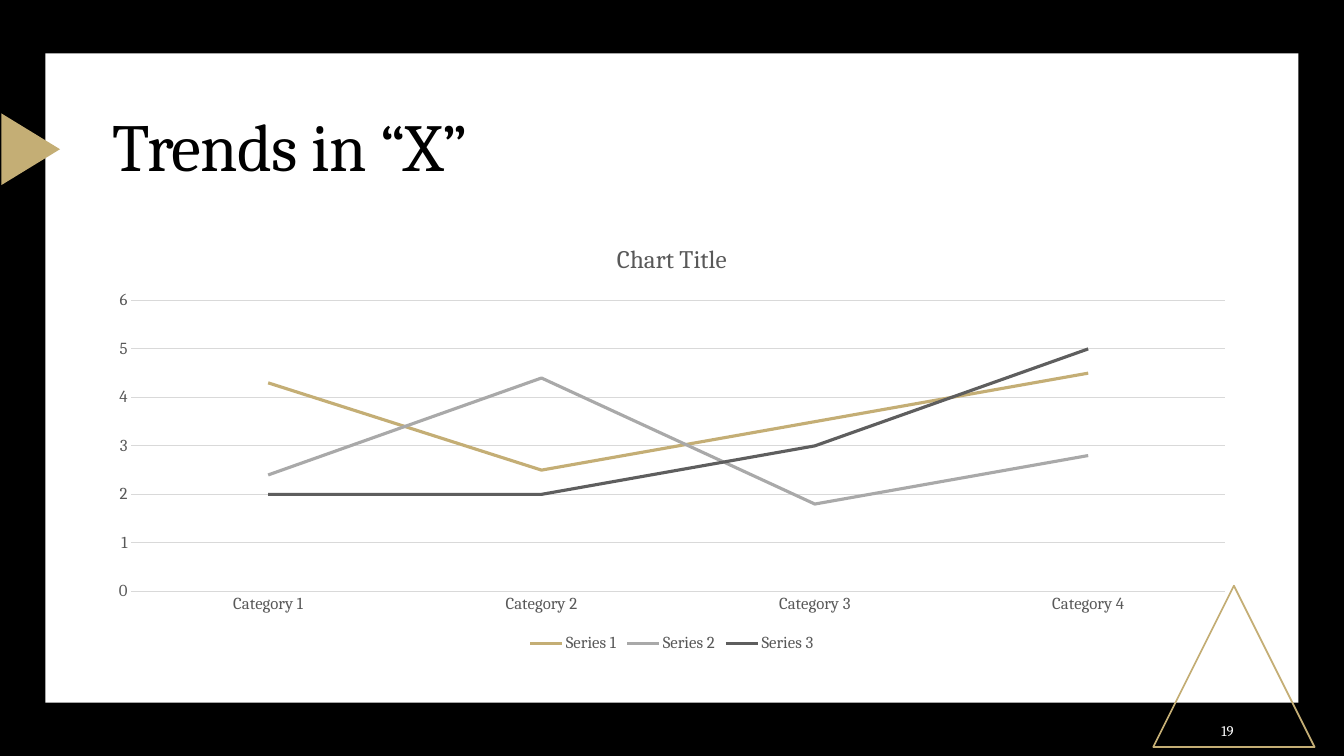
from dataclasses import dataclass

import pptx
import pptx.chart.data
import pptx.dml.color
import pptx.enum.chart
import pptx.enum.shapes
import pptx.enum.text
import pptx.util

Pt = pptx.util.Pt
SHAPE = pptx.enum.shapes.MSO_SHAPE


@dataclass(frozen=True)
class Theme:
    """Colours, font and type sizes of the deck."""
    font: str = "Cambria"
    black: str = "000000"
    white: str = "FFFFFF"
    gold: str = "C4AE75"
    silver: str = "A9A9A9"
    slate: str = "5E5E5E"
    grid: str = "D9D9D9"
    label: str = "595959"
    title_size: float = 48
    chart_title_size: float = 18
    label_size: float = 12
    number_size: float = 10.5


THEME = Theme()


def rgb(color):
    """Turn a hex string into a colour."""
    return pptx.dml.color.RGBColor.from_string(color)


def style_font(font, size, color):
    """Apply the theme font with a size and colour."""
    font.name = THEME.font
    font.size = Pt(size)
    font.bold = False
    font.color.rgb = rgb(color)


def style_line(line, color, width):
    """Give a line its colour and width."""
    line.color.rgb = rgb(color)
    line.width = Pt(width)


def add_figure(s, kind, box, fill=None, line=None, rotation=0):
    """Draw a preset shape in box, filled or outlined."""
    sp = s.shapes.add_shape(kind, *map(Pt, box))
    sp.shadow.inherit = False
    sp.rotation = rotation
    if fill:
        sp.fill.solid()
        sp.fill.fore_color.rgb = rgb(fill)
    else:
        sp.fill.background()
    if line:
        style_line(sp.line, line, 1.25)
    else:
        sp.line.fill.background()


def add_text(s, box, text, size, color, line_spacing=1.0):
    """Add one vertically centred paragraph in box and return its run."""
    tf = s.shapes.add_textbox(*map(Pt, box)).text_frame
    tf.word_wrap = True
    tf.vertical_anchor = pptx.enum.text.MSO_ANCHOR.MIDDLE
    p = tf.paragraphs[0]
    p.line_spacing = line_spacing
    r = p.add_run()
    r.text = text
    style_font(p.font, size, color)
    return r


def add_backdrop(s, box):
    """Draw the black background, the white panel and the gold triangles."""
    s.background.fill.solid()
    s.background.fill.fore_color.rgb = rgb(THEME.black)
    left, top, width, height = box
    add_figure(s, SHAPE.RECTANGLE, box, fill=THEME.white)
    add_figure(s, SHAPE.ISOSCELES_TRIANGLE,
               (left + width - 103.6, top + height - 83.5, 115.2, 115.2),
               line=THEME.gold)
    add_figure(s, SHAPE.ISOSCELES_TRIANGLE,
               (left - 36, top + 47.5, 51.1, 41.8),
               fill=THEME.gold, rotation=90)


def add_title(s, box, text):
    """Add the slide title with slightly tightened letters."""
    r = add_text(s, box, text, THEME.title_size, THEME.black, 0.9)
    r.font._element.set("spc", "-50")


def add_trend_chart(s, box, title, categories, series):
    """Add a line chart; series holds name, values and colour."""
    data = pptx.chart.data.CategoryChartData()
    data.categories = categories
    for name, values, _ in series:
        data.add_series(name, values)
    chart = s.shapes.add_chart(pptx.enum.chart.XL_CHART_TYPE.LINE,
                               *map(Pt, box), data).chart
    style_font(chart.font, THEME.label_size, THEME.label)

    chart.has_title = True
    p = chart.chart_title.text_frame.paragraphs[0]
    p.add_run().text = title
    style_font(p.font, THEME.chart_title_size, THEME.label)
    chart.chart_title.include_in_layout = False

    chart.has_legend = True
    chart.legend.position = pptx.enum.chart.XL_LEGEND_POSITION.BOTTOM
    chart.legend.include_in_layout = False

    for axis in (chart.category_axis, chart.value_axis):
        axis.major_tick_mark = pptx.enum.chart.XL_TICK_MARK.NONE
        axis.minor_tick_mark = pptx.enum.chart.XL_TICK_MARK.NONE
    style_line(chart.category_axis.format.line, THEME.grid, 0.75)
    values = chart.value_axis
    values.minimum_scale, values.maximum_scale, values.major_unit = 0, 6, 1
    values.format.line.fill.background()
    style_line(values.major_gridlines.format.line, THEME.grid, 0.75)

    chart.plots[0].vary_by_categories = False
    for line, (_, _, color) in zip(chart.plots[0].series, series):
        line.smooth = False
        line.marker.style = pptx.enum.chart.XL_MARKER_STYLE.NONE
        style_line(line.format.line, color, 2.25)


def build_trends_slide(prs):
    """Build the slide with a title, a trend chart and a page number."""
    s = prs.slides.add_slide(prs.slide_layouts[6])
    add_backdrop(s, (32.4, 38.2, 895, 463.7))
    add_title(s, (73.4, 70.6, 823, 72), "Trends in “X”")
    add_trend_chart(
        s, (68.4, 159.8, 823, 309.6), "Chart Title",
        [f"Category {n}" for n in range(1, 5)],
        [("Series 1", (4.3, 2.5, 3.5, 4.5), THEME.gold),
         ("Series 2", (2.4, 4.4, 1.8, 2.8), THEME.silver),
         ("Series 3", (2, 2, 3, 5), THEME.slate)])
    add_text(s, (865.4, 507.6, 61.2, 28.8), "19",
             THEME.number_size, THEME.white)


prs = pptx.Presentation()
prs.slide_width, prs.slide_height = Pt(960), Pt(540)
build_trends_slide(prs)
prs.save("out.pptx")
